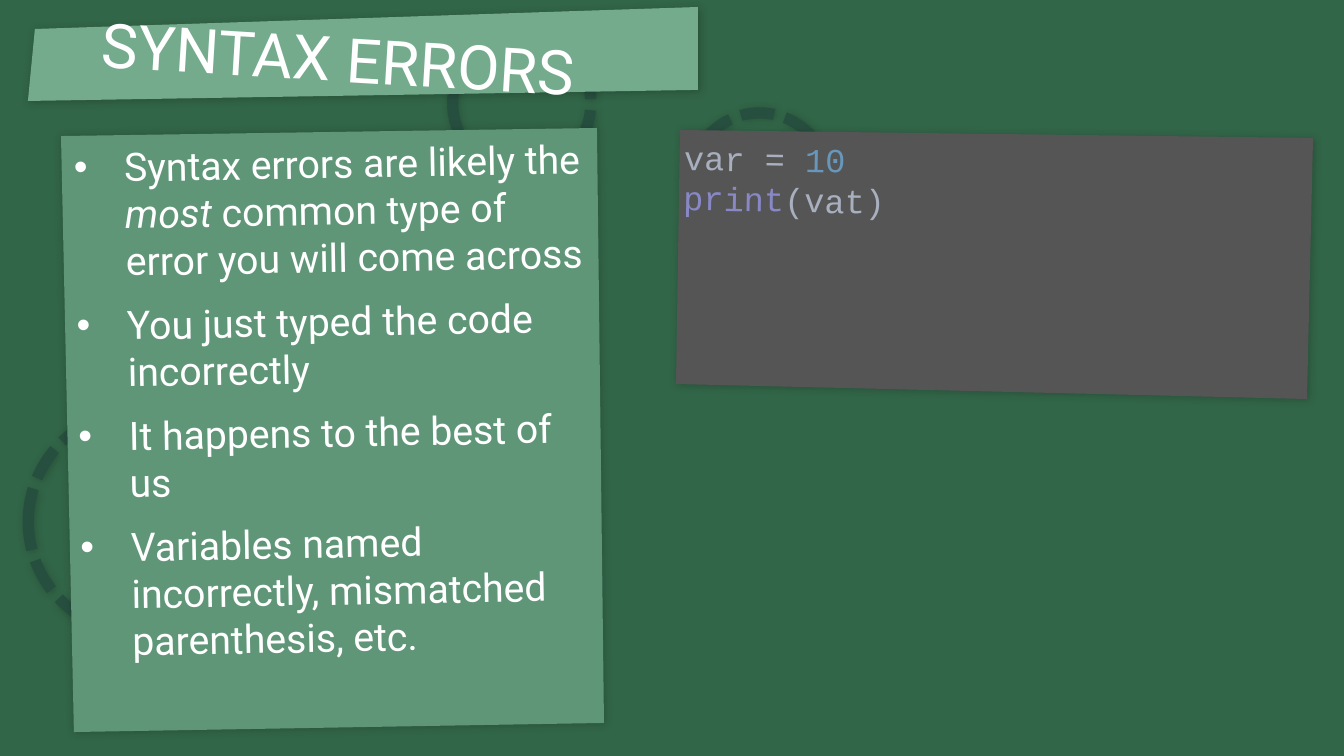
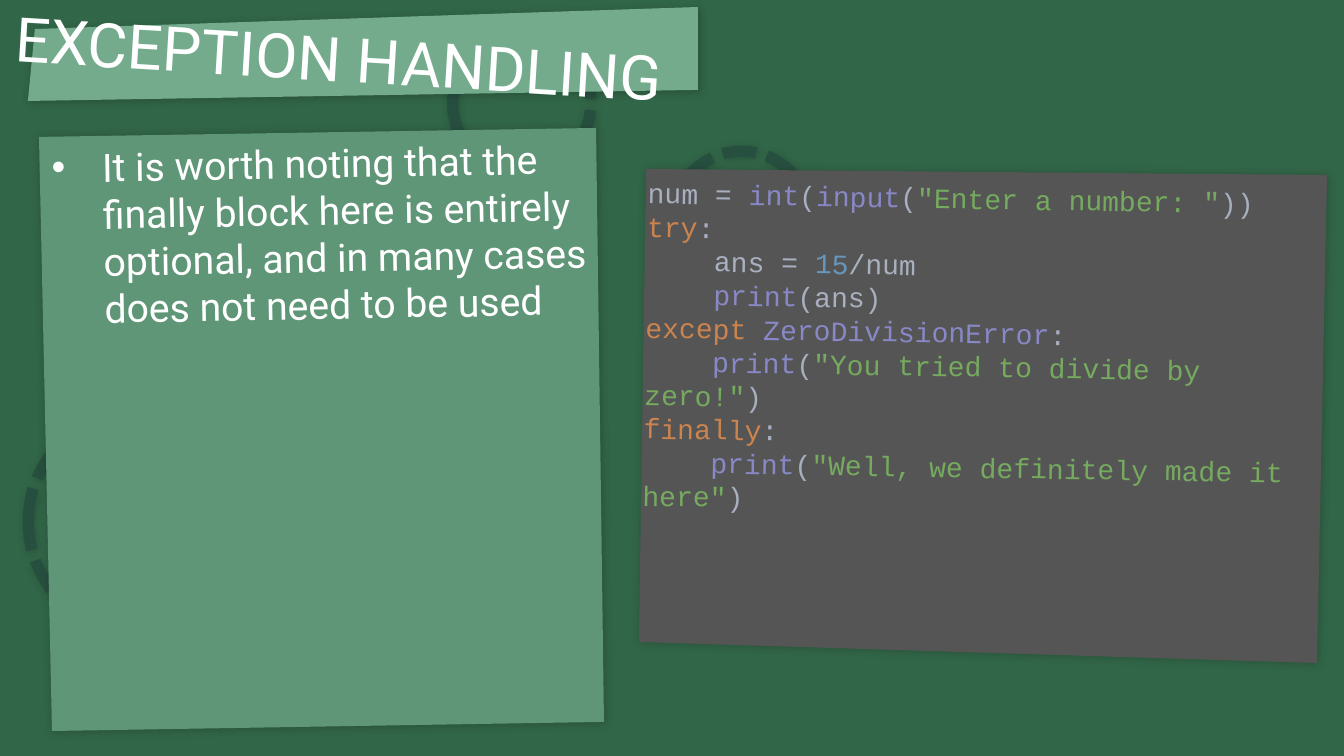
from dataclasses import dataclass

from lxml import etree
from pptx import Presentation, util as u
from pptx.dml.color import RGBColor
from pptx.enum import dml, shapes, text
from pptx.oxml import parse_xml
from pptx.oxml.ns import nsdecls, qn

WIDTH, HEIGHT = u.Inches(13.333), u.Inches(7.5)
BACKGROUND, RING = "326648", "274F3F"
BANNER, BODY, EDITOR = "74AB8C", "609678", "555555"
WHITE, PLAIN, NUMBER = "FFFFFF", "A8AFBE", "6897BB"
BUILTIN, KEYWORD, STRING = "8888C6", "CC844F", "75AA5F"
HEADING_FONT, CODE_FONT = "Roboto", "Courier New"

Run = tuple[str, str]
Point = tuple[float, float]


@dataclass(frozen=True)
class Box:
    """Left, top, width and height as percentages of the slide."""
    left: float
    top: float
    width: float
    height: float


@dataclass(frozen=True)
class Ring:
    """Left, top and diameter; the diameter is a percentage of the slide width."""
    left: float
    top: float
    diameter: float


@dataclass(frozen=True)
class Panel:
    """Tilted card: its corners in percent, and the turned box that holds its text."""
    corners: tuple[Point, ...]
    fill: str
    box: Box
    rotation: float


@dataclass(frozen=True)
class Page:
    title: str
    ring: Ring
    body: Panel
    bullets: list[list[tuple[str, bool]]]
    editor: Panel
    code: list[list[Run]]
    code_size: int


SHARED_RINGS = (Ring(2.1, 54.27, 16.58), Ring(33.68, 4.53, 10.28))
TITLE_PANEL = Panel(((2.6, 3.84), (51.93, 0.93), (51.93, 11.9), (2.08, 13.36)),
                    BANNER, Box(-0.9, 2.27, 52.2, 10.53), 3.5)

PAGES = (
    Page(
        title="SYNTAX ERRORS",
        ring=Ring(51.38, 14.93, 10.28),
        body=Panel(((4.54, 18), (44.42, 16.93), (44.94, 95.63), (5.5, 96.83)),
                   BODY, Box(5.1, 17.73, 39.6, 78.67), -1),
        bullets=[
            [("Syntax errors are likely the ", False), ("most ", True),
             ("common type of error you will come across", False)],
            [("You just typed the code incorrectly", False)],
            [("It happens to the best of us", False)],
            [("Variables named incorrectly, mismatched parenthesis, etc.", False)],
        ],
        editor=Panel(((50.6, 17.2), (97.7, 18.25), (97.25, 52.78), (50.3, 50.8)),
                     EDITOR, Box(50.03, 18.13, 47.1, 34), 1),
        code=[
            [("var = ", PLAIN), ("10", NUMBER)],
            [("print", BUILTIN), ("(vat)", PLAIN)],
        ],
        code_size=24,
    ),
    Page(
        title="EXCEPTION HANDLING",
        ring=Ring(50.03, 20, 10.28),
        body=Panel(((2.9, 18.12), (44.35, 16.93), (44.94, 95.5), (3.87, 96.7)),
                   BODY, Box(3.45, 17.73, 41.5, 78.67), -1),
        bullets=[[("It is worth noting that the finally block here is entirely optional, "
                   "and in many cases does not need to be used", False)]],
        editor=Panel(((48.07, 22.35), (98.74, 23.15), (97.99, 87.7), (47.54, 84.92)),
                     EDITOR, Box(47.18, 23.33, 50.78, 63.47), 1),
        code=[
            [("num = ", PLAIN), ("int", BUILTIN), ("(", PLAIN), ("input", BUILTIN),
             ("(", PLAIN), ('"Enter a number: "', STRING), ("))", PLAIN)],
            [("try", KEYWORD), (":", PLAIN)],
            [("    ans = ", PLAIN), ("15", NUMBER), ("/num", PLAIN)],
            [("    ", PLAIN), ("print", BUILTIN), ("(ans)", PLAIN)],
            [("except ", KEYWORD), ("ZeroDivisionError", BUILTIN), (":", PLAIN)],
            [("    ", PLAIN), ("print", BUILTIN), ("(", PLAIN),
             ('"You tried to divide by zero!"', STRING), (")", PLAIN)],
            [("finally", KEYWORD), (":", PLAIN)],
            [("    ", PLAIN), ("print", BUILTIN), ("(", PLAIN),
             ('"Well, we definitely made it here"', STRING), (")", PLAIN)],
        ],
        code_size=20,
    ),
)


def colour(value: str) -> RGBColor:
    return RGBColor.from_string(value)


def across(percent: float) -> int:
    return round(WIDTH * percent / 100)


def down(percent: float) -> int:
    return round(HEIGHT * percent / 100)


def add_shadow(shape) -> None:
    """Give the shape a soft shadow to the lower right."""
    shape.shadow.inherit = False
    effects = shape._element.spPr.find(qn("a:effectLst"))
    effects.append(parse_xml(
        f'<a:outerShdw {nsdecls("a")} blurRad="{u.Pt(6)}" dist="{u.Pt(1)}" dir="2700000">'
        '<a:srgbClr val="000000"><a:alpha val="20000"/></a:srgbClr></a:outerShdw>'))


def add_ring(slide, ring: Ring) -> None:
    diameter = across(ring.diameter)
    shape = slide.shapes.add_shape(shapes.MSO_SHAPE.OVAL, across(ring.left),
                                   down(ring.top), diameter, diameter)
    shape.fill.background()
    shape.line.color.rgb = colour(RING)
    shape.line.width = u.Pt(8)
    shape.line.dash_style = dml.MSO_LINE.SQUARE_DOT
    add_shadow(shape)


def add_panel(slide, panel: Panel):
    """Draw the tilted card and return the text frame of its turned text box."""
    first, *others = [(x * 100, y * 100) for x, y in panel.corners]
    builder = slide.shapes.build_freeform(*first, scale=(WIDTH / 10000, HEIGHT / 10000))
    builder.add_line_segments(others, close=True)
    card = builder.convert_to_shape()
    card.fill.solid()
    card.fill.fore_color.rgb = colour(panel.fill)
    card.line.fill.background()
    add_shadow(card)

    box = panel.box
    label = slide.shapes.add_textbox(across(box.left), down(box.top),
                                     across(box.width), down(box.height))
    label.rotation = panel.rotation
    label.text_frame.word_wrap = True
    return label.text_frame


def next_paragraph(frame, index: int):
    return frame.paragraphs[0] if index == 0 else frame.add_paragraph()


def set_font(paragraph, name: str, size: int, value: str = WHITE) -> None:
    paragraph.font.name = name
    paragraph.font.size = u.Pt(size)
    paragraph.font.color.rgb = colour(value)


def add_bullet(paragraph) -> None:
    properties = paragraph._p.get_or_add_pPr()
    properties.set("marL", str(u.Inches(0.5)))
    properties.set("indent", str(-u.Inches(0.5)))
    etree.SubElement(properties, qn("a:buFont"), typeface="Arial")
    etree.SubElement(properties, qn("a:buChar"), char="•")


def write_title(frame, title: str) -> None:
    frame.vertical_anchor = text.MSO_ANCHOR.MIDDLE
    paragraph = frame.paragraphs[0]
    paragraph.text = title
    paragraph.alignment = text.PP_ALIGN.CENTER
    set_font(paragraph, HEADING_FONT, 44)


def write_bullets(frame, bullets: list[list[tuple[str, bool]]]) -> None:
    for index, runs in enumerate(bullets):
        paragraph = next_paragraph(frame, index)
        add_bullet(paragraph)
        if index:
            paragraph.space_before = u.Pt(12)
        set_font(paragraph, HEADING_FONT, 28)
        for words, italic in runs:
            run = paragraph.add_run()
            run.text = words
            if italic:
                run.font.italic = True


def write_code(frame, lines: list[list[Run]], size: int) -> None:
    for index, tokens in enumerate(lines):
        paragraph = next_paragraph(frame, index)
        set_font(paragraph, CODE_FONT, size, PLAIN)
        for token, value in tokens:
            run = paragraph.add_run()
            run.text = token
            run.font.color.rgb = colour(value)


def add_page(presentation, page: Page) -> None:
    slide = presentation.slides.add_slide(presentation.slide_layouts[6])
    slide.background.fill.solid()
    slide.background.fill.fore_color.rgb = colour(BACKGROUND)
    for ring in (page.ring, *SHARED_RINGS):
        add_ring(slide, ring)
    write_bullets(add_panel(slide, page.body), page.bullets)
    write_title(add_panel(slide, TITLE_PANEL), page.title)
    write_code(add_panel(slide, page.editor), page.code, page.code_size)


def main() -> None:
    presentation = Presentation()
    presentation.slide_width, presentation.slide_height = WIDTH, HEIGHT
    for page in PAGES:
        add_page(presentation, page)
    presentation.save("out.pptx")


if __name__ == "__main__":
    main()
